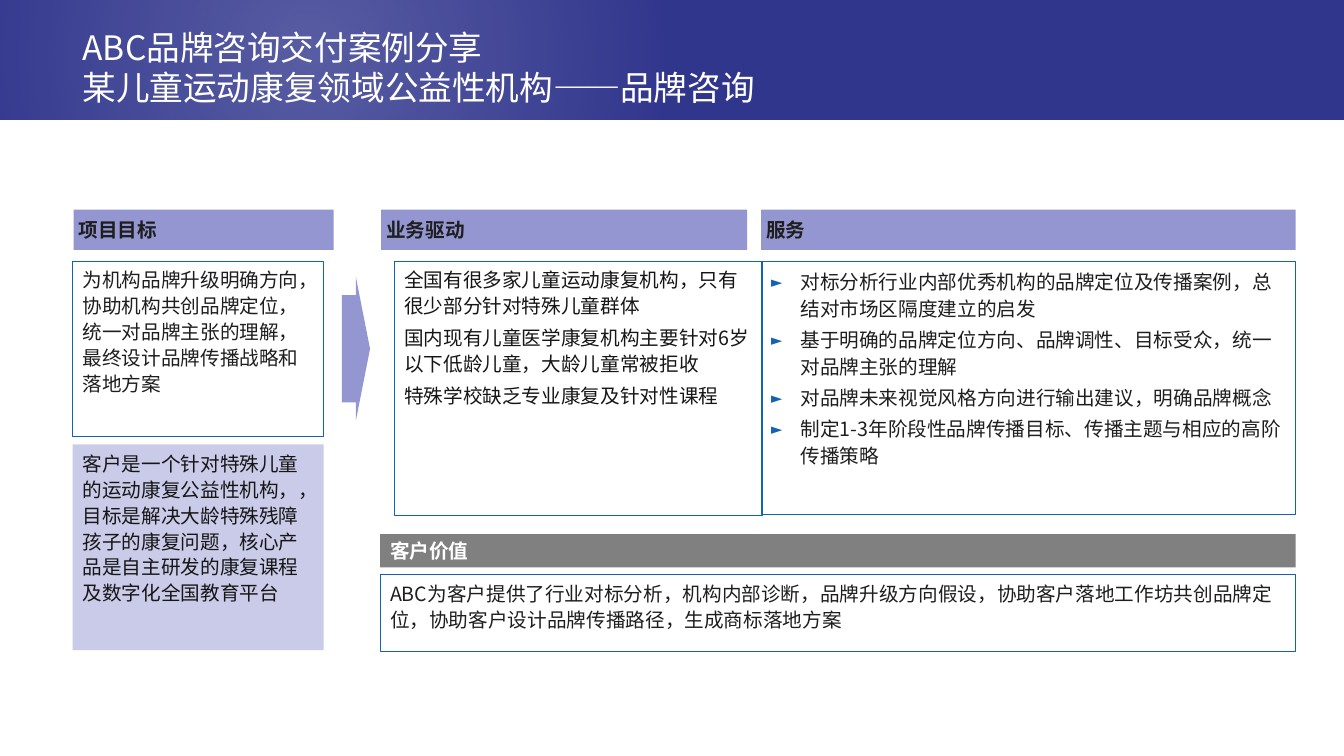
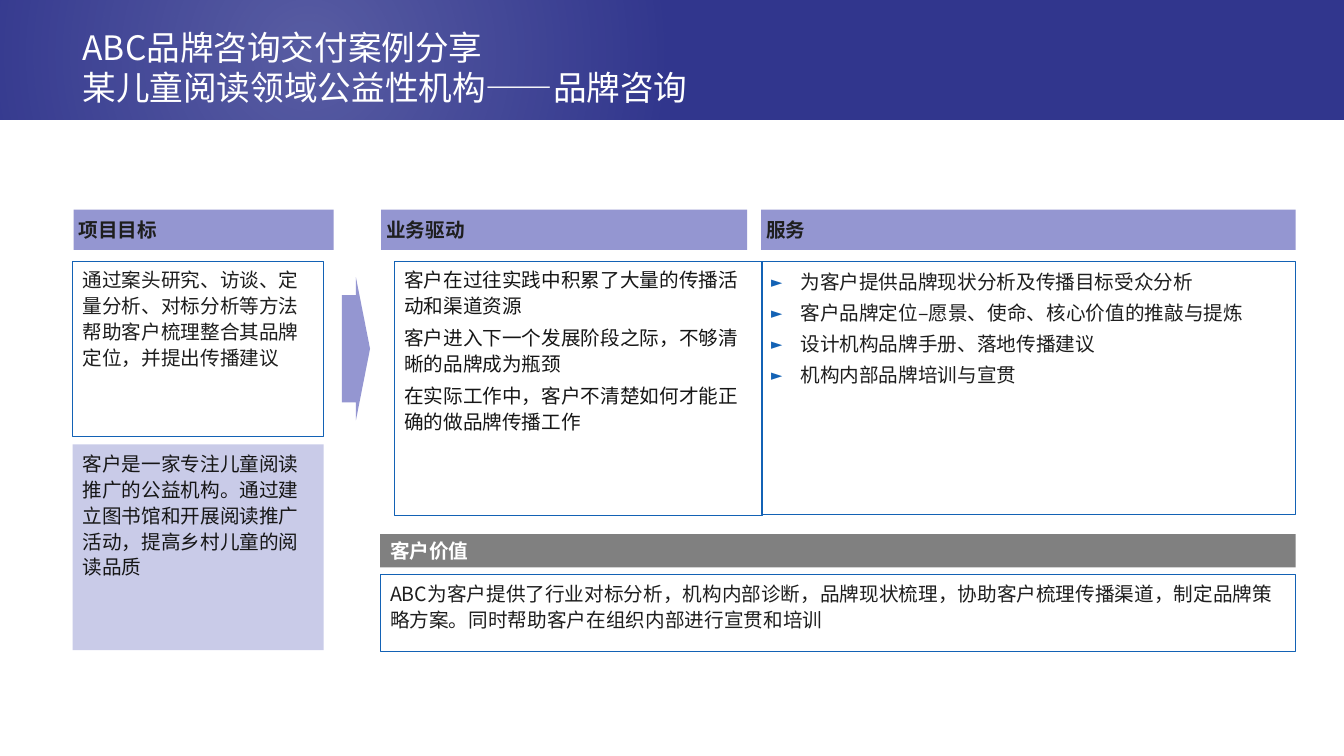
"""Build two brand consulting case slides that share one layout."""
from dataclasses import dataclass

from lxml import etree
from pptx import Presentation
from pptx import util as u
from pptx.dml.color import RGBColor
from pptx.enum import shapes, text
from pptx.oxml import ns

FONT = "Noto Sans CJK SC"
COLOURS = {
    "band": "31368D",
    "header": "9496D1",
    "client": "C9CBE8",
    "value": "808080",
    "accent": "1362B5",
    "dark": "1E1E1E",
    "black": "161616",
    "white": "FFFFFF",
}


@dataclass(frozen=True)
class Area:
    left: float
    top: float
    width: float
    height: float


@dataclass(frozen=True)
class Header:
    area: Area
    label: str
    fill: str = "header"
    colour: str = "dark"
    inset: float = 0.05


@dataclass(frozen=True)
class Panel:
    area: Area
    field: str
    colour: str = "dark"
    fill: str | None = None
    line: str | None = "accent"
    spacing: float = 1.1
    before: float = 4.2
    bullet: bool = False


@dataclass(frozen=True)
class Case:
    title: str
    goal: list[str]
    client: list[str]
    drivers: list[str]
    services: list[str]
    value: list[str]


BAND = Area(0, 0, 13.33, 1.19)
GLOW = Area(0, 0, 7.3, 1.19)
TITLE = Area(0.72, 0.23, 10.01, 0.87)
ARROW = Area(3.39, 2.75, 0.28, 1.42)

HEADERS = [
    Header(Area(0.73, 2.08, 2.58, 0.4), "项目目标"),
    Header(Area(3.78, 2.08, 3.63, 0.4), "业务驱动"),
    Header(Area(7.55, 2.08, 5.3, 0.4), "服务"),
    Header(Area(3.77, 5.3, 9.08, 0.33), "客户价值", "value", "white", 0.1),
]
PANELS = [
    Panel(Area(0.72, 2.59, 2.49, 1.74), "goal"),
    Panel(Area(0.72, 4.41, 2.49, 2.04), "client", "black", "client", None),
    Panel(Area(3.91, 2.59, 3.65, 2.52), "drivers", "black"),
    Panel(Area(7.55, 2.59, 5.3, 2.51), "services", spacing=1.15, before=2.8, bullet=True),
    Panel(Area(3.77, 5.7, 9.08, 0.76), "value"),
]
CASES = [
    Case(
        title="ABC品牌咨询交付案例分享\v某儿童运动康复领域公益性机构——品牌咨询",
        goal=["为机构品牌升级明确方向，协助机构共创品牌定位，统一对品牌主张的理解，最终设计品牌传播战略和落地方案"],
        client=["客户是一个针对特殊儿童的运动康复公益性机构，，目标是解决大龄特殊残障孩子的康复问题，核心产品是自主研发的康复课程及数字化全国教育平台"],
        drivers=[
            "全国有很多家儿童运动康复机构，只有很少部分针对特殊儿童群体",
            "国内现有儿童医学康复机构主要针对6岁以下低龄儿童，大龄儿童常被拒收",
            "特殊学校缺乏专业康复及针对性课程",
        ],
        services=[
            "对标分析行业内部优秀机构的品牌定位及传播案例，总结对市场区隔度建立的启发",
            "基于明确的品牌定位方向、品牌调性、目标受众，统一对品牌主张的理解",
            "对品牌未来视觉风格方向进行输出建议，明确品牌概念",
            "制定1-3年阶段性品牌传播目标、传播主题与相应的高阶传播策略",
        ],
        value=["ABC为客户提供了行业对标分析，机构内部诊断，品牌升级方向假设，协助客户落地工作坊共创品牌定位，协助客户设计品牌传播路径，生成商标落地方案"],
    ),
    Case(
        title="ABC品牌咨询交付案例分享\v某儿童阅读领域公益性机构——品牌咨询",
        goal=["通过案头研究、访谈、定量分析、对标分析等方法帮助客户梳理整合其品牌定位，并提出传播建议"],
        client=["客户是一家专注儿童阅读推广的公益机构。通过建立图书馆和开展阅读推广活动，提高乡村儿童的阅读品质"],
        drivers=[
            "客户在过往实践中积累了大量的传播活动和渠道资源",
            "客户进入下一个发展阶段之际，不够清晰的品牌成为瓶颈",
            "在实际工作中，客户不清楚如何才能正确的做品牌传播工作",
        ],
        services=[
            "为客户提供品牌现状分析及传播目标受众分析",
            "客户品牌定位–愿景、使命、核心价值的推敲与提炼",
            "设计机构品牌手册、落地传播建议",
            "机构内部品牌培训与宣贯",
        ],
        value=["ABC为客户提供了行业对标分析，机构内部诊断，品牌现状梳理，协助客户梳理传播渠道，制定品牌策略方案。同时帮助客户在组织内部进行宣贯和培训"],
    ),
]


def place(area: Area) -> tuple[u.Length, ...]:
    """Return the area as left, top, width and height lengths."""
    return tuple(u.Inches(n) for n in (area.left, area.top, area.width, area.height))


def rgb(name: str) -> RGBColor:
    """Look up a named colour."""
    return RGBColor.from_string(COLOURS[name])


def add_box(page, area: Area, *, fill: str | None = None, line: str | None = None,
            kind=shapes.MSO_SHAPE.RECTANGLE):
    """Draw a preset shape with an optional fill and hairline."""
    box = page.shapes.add_shape(kind, *place(area))
    box.shadow.inherit = False
    if fill:
        box.fill.solid()
        box.fill.fore_color.rgb = rgb(fill)
    else:
        box.fill.background()
    if line:
        box.line.color.rgb = rgb(line)
        box.line.width = u.Pt(0.25)
    else:
        box.line.fill.background()
    return box


def add_bullet(para) -> None:
    """Give a paragraph a hanging arrowhead bullet."""
    props = para._p.get_or_add_pPr()
    indent = u.Inches(0.29)
    props.set("marL", str(indent))
    props.set("indent", str(-indent))
    colour = etree.SubElement(props, ns.qn("a:buClr"))
    etree.SubElement(colour, ns.qn("a:srgbClr"), val=COLOURS["accent"])
    etree.SubElement(props, ns.qn("a:buSzPct"), val="75000")
    etree.SubElement(props, ns.qn("a:buFont"), typeface=FONT)
    etree.SubElement(props, ns.qn("a:buChar"), char="►")


def write_text(box, lines: list[str], *, colour: str, size: float = 14, bold: bool = False,
               inset: float = 0.1, middle: bool = False, spacing: float = 1.0,
               before: float = 0, bullet: bool = False) -> None:
    """Fill a shape with left-aligned paragraphs in one format."""
    frame = box.text_frame
    frame.word_wrap = True
    frame.margin_left = frame.margin_right = u.Inches(inset)
    frame.margin_top = frame.margin_bottom = u.Inches(0.05)
    frame.vertical_anchor = text.MSO_ANCHOR.MIDDLE if middle else text.MSO_ANCHOR.TOP
    for index, line in enumerate(lines):
        para = frame.add_paragraph() if index else frame.paragraphs[0]
        para.text = line
        if bullet:
            add_bullet(para)
        para.alignment = text.PP_ALIGN.LEFT
        para.line_spacing = spacing
        if index:
            para.space_before = u.Pt(before)
        for span in para.runs:
            span.font.size = u.Pt(size)
            span.font.bold = bold
            span.font.color.rgb = rgb(colour)
            span.font.name = FONT
            etree.SubElement(span._r.get_or_add_rPr(), ns.qn("a:ea"), typeface=FONT)


def add_glow(page) -> None:
    """Lay a soft white radial glow over the title band."""
    props = add_box(page, GLOW)._element.spPr
    blank = props.find(ns.qn("a:noFill"))
    gradient = etree.Element(ns.qn("a:gradFill"), rotWithShape="1")
    stops = etree.SubElement(gradient, ns.qn("a:gsLst"))
    for position, alpha in ((0, 20000), (100000, 0)):
        stop = etree.SubElement(stops, ns.qn("a:gs"), pos=str(position))
        colour = etree.SubElement(stop, ns.qn("a:srgbClr"), val=COLOURS["white"])
        etree.SubElement(colour, ns.qn("a:alpha"), val=str(alpha))
    course = etree.SubElement(gradient, ns.qn("a:path"), path="circle")
    etree.SubElement(course, ns.qn("a:fillToRect"), l="42000", t="46000", r="58000", b="54000")
    props.replace(blank, gradient)


def add_title_band(page, title: str) -> None:
    """Draw the title band and its two-line title."""
    add_box(page, BAND, fill="band")
    add_glow(page)
    box = page.shapes.add_textbox(*place(TITLE))
    write_text(box, [title], colour="white", size=24, middle=True)


def add_case(deck, case: Case) -> None:
    """Add one case slide."""
    page = deck.slides.add_slide(deck.slide_layouts[6])
    add_title_band(page, case.title)
    for panel in PANELS:
        box = add_box(page, panel.area, fill=panel.fill, line=panel.line)
        write_text(box, getattr(case, panel.field), colour=panel.colour,
                   spacing=panel.spacing, before=panel.before, bullet=panel.bullet)
    for header in HEADERS:
        box = add_box(page, header.area, fill=header.fill)
        write_text(box, [header.label], colour=header.colour, bold=True,
                   inset=header.inset, middle=True)
    arrow = add_box(page, ARROW, fill="header", kind=shapes.MSO_SHAPE.RIGHT_ARROW)
    arrow.adjustments[0] = 0.75
    arrow.adjustments[1] = 0.5


def main() -> None:
    """Build and save the deck."""
    deck = Presentation()
    deck.slide_width = u.Inches(13.33)
    deck.slide_height = u.Inches(7.5)
    for case in CASES:
        add_case(deck, case)
    deck.save("out.pptx")


if __name__ == "__main__":
    main()
